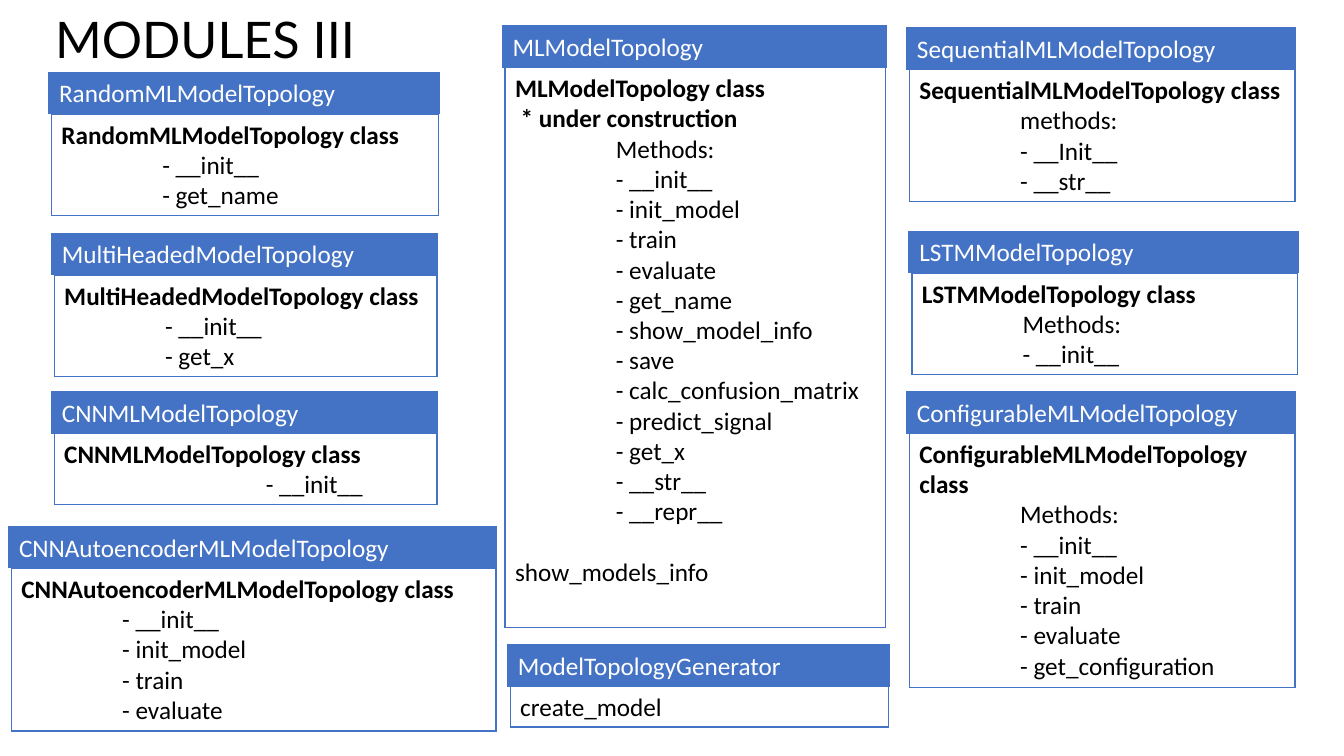
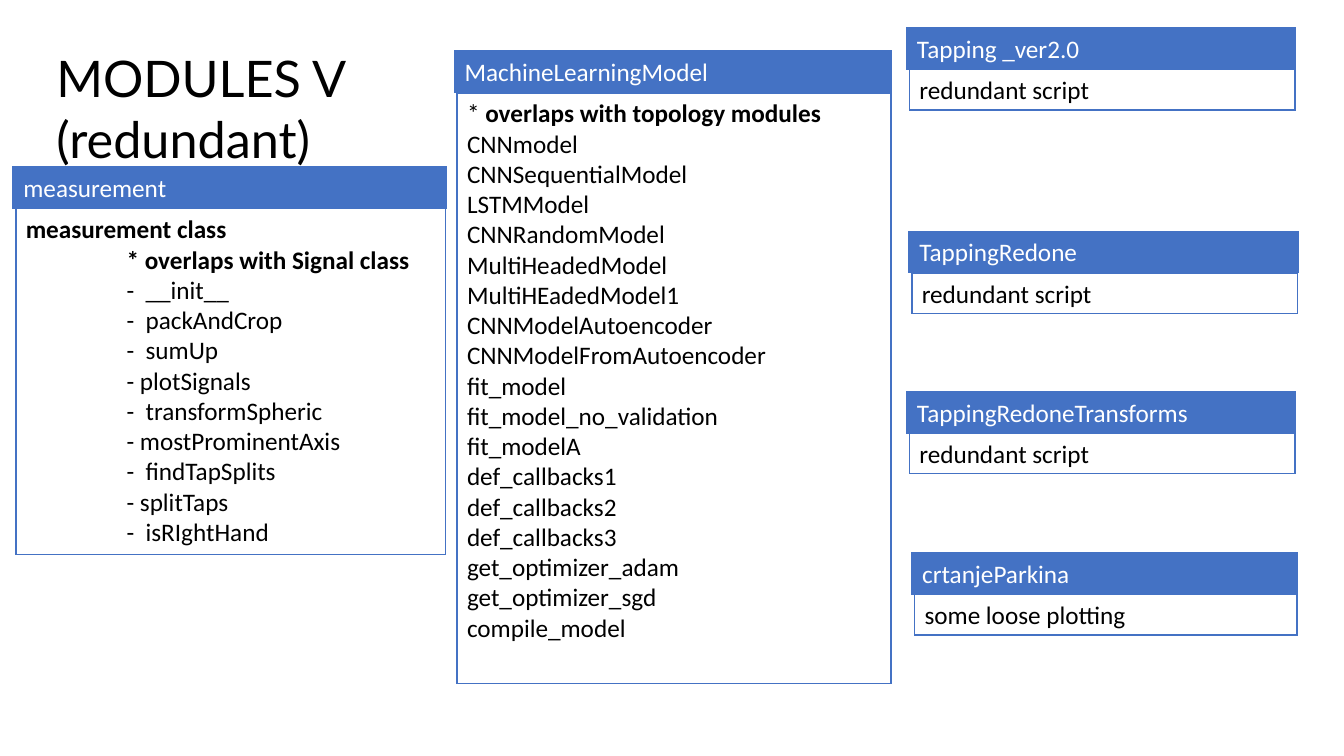
from dataclasses import dataclass

from lxml import etree
from pptx import Presentation
from pptx.dml.color import RGBColor
from pptx.enum.shapes import MSO_SHAPE
from pptx.enum.text import MSO_ANCHOR, MSO_AUTO_SIZE, PP_ALIGN
from pptx.oxml.ns import qn
from pptx.util import Cm, Pt

RECTANGLE = MSO_SHAPE.RECTANGLE
TOP = MSO_ANCHOR.TOP
LEFT = PP_ALIGN.LEFT
GROW = MSO_AUTO_SIZE.SHAPE_TO_FIT_TEXT


@dataclass(frozen=True)
class Theme:
    blue: RGBColor = RGBColor(0x44, 0x72, 0xC4)
    white: RGBColor = RGBColor(0xFF, 0xFF, 0xFF)
    black: RGBColor = RGBColor(0, 0, 0)
    title_font: str = "Lato"
    body_font: str = "Calibri"
    title_size: Pt = Pt(36)
    body_size: Pt = Pt(18)
    header_line: Pt = Pt(1.5)
    body_line: Pt = Pt(1)
    block_gap: Pt = Pt(22)


@dataclass(frozen=True)
class Panel:
    name: str
    left: float
    top: float
    width: float
    blocks: list         # pairs of indent level and lines
    spare_rows: int = 0  # room for a wrapped line, a gap or an empty end


theme = Theme()

# Panel measures in centimetres
HEADER_HEIGHT = 1.02
BODY_DROP = 1.04     # from header top to body top
BODY_INSET = 0.06    # the body starts a little right of its header
ROW_HEIGHT = 0.77
BODY_PADDING = 0.25
INDENT = 2.54
TITLE_HEIGHT = 1.8

# Columns and rows that panels share, in centimetres
LEFT_COLUMN, LEFT_WIDTH = 1.31, 9.7
RIGHT_COLUMN, RIGHT_WIDTH = 22.86, 9.78
ROW_1, ROW_2, ROW_3, ROW_4 = 0.71, 5.84, 9.88, 13.94

BOLD = "|"  # switches bold on and off within a line


def add_text(para, text, font, size, color):
    para.alignment = LEFT
    for number, part in enumerate(text.split(BOLD)):
        if part:
            span = para.add_run()
            span.text = part
            span.font.name = font
            span.font.size = size
            span.font.color.rgb = color
            span.font.bold = number % 2 == 1


def add_box(page, left, top, width, height, fill, line_width):
    box = page.shapes.add_shape(RECTANGLE, Cm(left), Cm(top), Cm(width), Cm(height))
    box.shadow.inherit = False
    box.fill.solid()
    box.fill.fore_color.rgb = fill
    box.line.color.rgb = theme.blue
    box.line.width = line_width
    # Square line corners
    etree.SubElement(box.line._get_or_add_ln(), qn("a:miter"), lim="800000")
    box.text_frame.word_wrap = True
    box.text_frame.vertical_anchor = TOP
    return box


# Panels of the topology page
topology_panels = [
    Panel("RandomMLModelTopology", 1.24, 1.83, 9.82, [
        (0, ["|RandomMLModelTopology class|"]),
        (1, ["- __init__", "- get_name"])]),
    Panel("MLModelTopology", 12.67, 0.66, 9.65, [
        (0, ["|MLModelTopology class|", "| * under construction|"]),
        (1, ["Methods:", "- __init__", "- init_model", "- train", "- evaluate",
             "- get_name", "- show_model_info", "- save", "- calc_confusion_matrix",
             "- predict_signal", "- get_x", "- __str__", "- __repr__"]),
        (0, ["show_models_info"])], spare_rows=2),
    Panel("MultiHeadedModelTopology", LEFT_COLUMN, 5.89, LEFT_WIDTH, [
        (0, ["|MultiHeadedModelTopology class|"]),
        (1, ["- __init__", "- get_x"])]),
    Panel("ModelTopologyGenerator", 12.8, 16.26, 9.6, [
        (0, ["create_model"])]),
    Panel("SequentialMLModelTopology", RIGHT_COLUMN, ROW_1, RIGHT_WIDTH, [
        (0, ["|SequentialMLModelTopology class|"]),
        (1, ["methods:", "- __Init__", "- __str__"])]),
    Panel("LSTMModelTopology", 22.92, ROW_2, RIGHT_WIDTH, [
        (0, ["|LSTMModelTopology class|"]),
        (1, ["Methods:", "- __init__"])]),
    Panel("ConfigurableMLModelTopology", RIGHT_COLUMN, ROW_3, RIGHT_WIDTH, [
        (0, ["|ConfigurableMLModelTopology class|"]),
        (1, ["Methods:", "- __init__", "- init_model", "- train", "- evaluate",
             "- get_configuration"])], spare_rows=1),
    Panel("CNNMLModelTopology", LEFT_COLUMN, ROW_3, LEFT_WIDTH, [
        (0, ["|CNNMLModelTopology class|"]),
        (2, ["- __init__"])]),
    Panel("CNNAutoencoderMLModelTopology", 0.23, 13.28, 12.27, [
        (0, ["|CNNAutoencoderMLModelTopology class|"]),
        (1, ["- __init__", "- init_model", "- train", "- evaluate"])]),
]

# Panels of the redundant page
redundant_panels = [
    Panel("MachineLearningModel", 11.46, 1.3, 11, [
        (0, ["* |overlaps with topology modules|", "CNNmodel", "CNNSequentialModel",
             "LSTMModel", "CNNRandomModel", "MultiHeadedModel", "MultiHEadedModel1",
             "CNNModelAutoencoder", "CNNModelFromAutoencoder", "fit_model",
             "fit_model_no_validation", "fit_modelA", "def_callbacks1",
             "def_callbacks2", "def_callbacks3", "get_optimizer_adam",
             "get_optimizer_sgd", "compile_model"])], spare_rows=1),
    Panel("measurement", 0.34, 4.22, 10.89, [
        (0, ["|measurement class|"]),
        (1, ["|* overlaps with Signal class|", "-  __init__", "-  packAndCrop",
             "-  sumUp", "- plotSignals", "-  transformSpheric",
             "- mostProminentAxis", "-  findTapSplits", "- splitTaps",
             "-  isRIghtHand"])]),
]
for name, left, top, width, remark in [
    ("Tapping _ver2.0", RIGHT_COLUMN, ROW_1, RIGHT_WIDTH, "redundant script"),
    ("TappingRedone", 22.92, ROW_2, RIGHT_WIDTH, "redundant script"),
    ("TappingRedoneTransforms", RIGHT_COLUMN, ROW_3, RIGHT_WIDTH, "redundant script"),
    ("crtanjeParkina", 22.99, ROW_4, 9.7, "some loose plotting"),
]:
    redundant_panels.append(Panel(name, left, top, width, [(0, [remark])]))

# Each page: title, its left, top and width, and the panels
pages = [
    ("MODULES III", 1.14, 0.08, 8.61, topology_panels),
    ("MODULES V (redundant)", 1.17, 1.07, 9.5, redundant_panels),
]

deck = Presentation()
deck.slide_width = Cm(33.87)
deck.slide_height = Cm(19.05)

for title, title_left, title_top, title_width, panels in pages:
    page = deck.slides.add_slide(deck.slide_layouts[6])

    # Title
    title_box = page.shapes.add_textbox(
        Cm(title_left), Cm(title_top), Cm(title_width), Cm(TITLE_HEIGHT))
    title_box.text_frame.word_wrap = True
    title_box.text_frame.auto_size = GROW
    add_text(title_box.text_frame.paragraphs[0], title,
             theme.title_font, theme.title_size, theme.black)

    for panel in panels:
        # Panel header
        header = add_box(page, panel.left, panel.top, panel.width, HEADER_HEIGHT,
                         theme.blue, theme.header_line)
        add_text(header.text_frame.paragraphs[0], panel.name,
                 theme.body_font, theme.body_size, theme.white)

        # Panel body, as tall as its rows
        rows = panel.spare_rows + sum(len(lines) for level, lines in panel.blocks)
        body = add_box(page, panel.left + BODY_INSET, panel.top + BODY_DROP,
                       panel.width - BODY_INSET, BODY_PADDING + ROW_HEIGHT * rows,
                       theme.white, theme.body_line)

        # Body lines; a return to the margin after an indented block gets a gap
        para = body.text_frame.paragraphs[0]
        previous_level = 0
        for level, lines in panel.blocks:
            for line in lines:
                if para.runs:
                    para = body.text_frame.add_paragraph()
                if level < previous_level:
                    para.space_before = theme.block_gap
                previous_level = level
                para._p.get_or_add_pPr().set("marL", str(Cm(INDENT * level)))
                add_text(para, line, theme.body_font, theme.body_size, theme.black)

deck.save("out.pptx")
